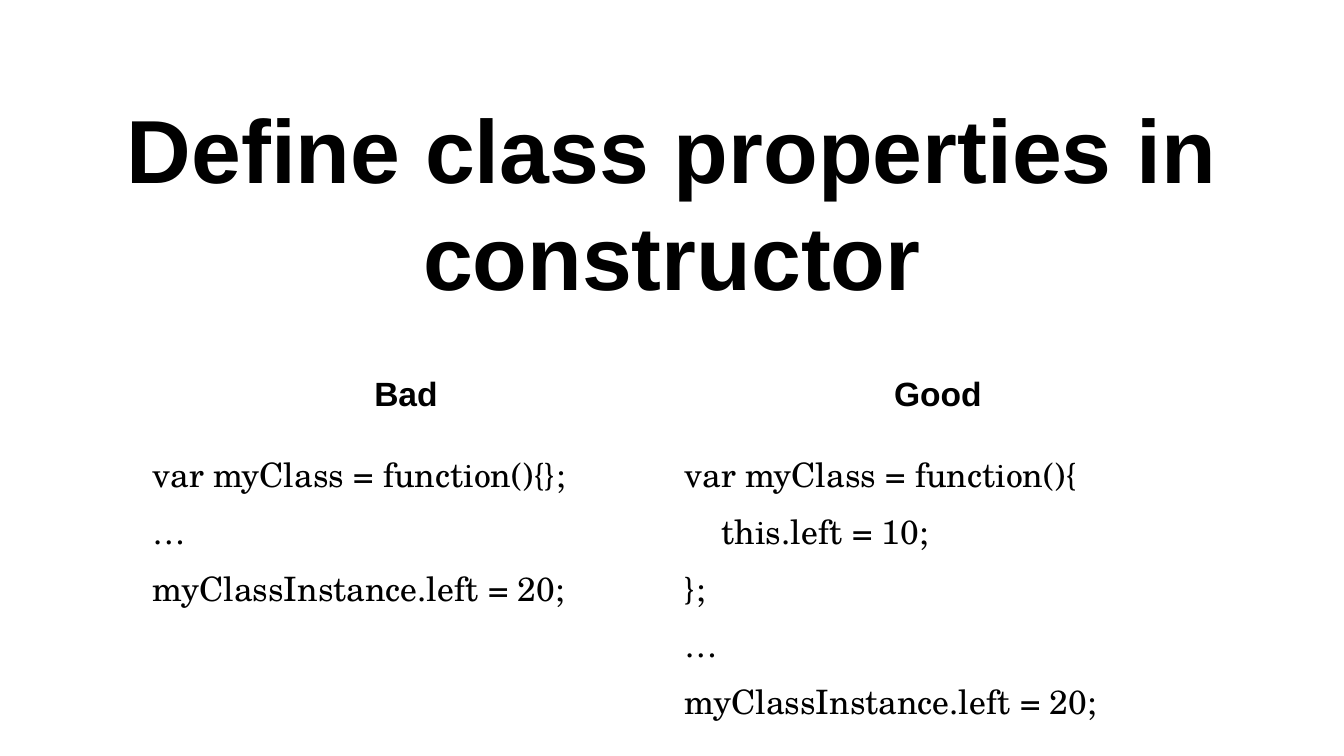
from pptx import Presentation
from pptx.dml.color import RGBColor
from pptx.enum.text import MSO_ANCHOR, PP_ALIGN
from pptx.util import Emu, Pt

COLORS = {"ink": "000000", "paper": "FFFFFF"}
SCALE = 914400 / 134.4
INSET = 13
INDENT = 37


def px(length):
    """Turn picture pixels into EMU."""
    return Emu(round(length * SCALE))


class SlideBuilder:
    """Holds the text style and the current slide."""

    def __init__(self, page, heading_font, code_font):
        self.page = page
        self.heading_font = heading_font
        self.code_font = code_font
        fill = page.background.fill
        fill.solid()
        fill.fore_color.rgb = RGBColor.from_string(COLORS["paper"])

    def style(self, para, name, size, bold):
        """Set the font of one paragraph."""
        font = para.font
        font.name, font.size, font.bold = name, Pt(size), bold
        font.color.rgb = RGBColor.from_string(COLORS["ink"])

    def inset(self, holder):
        """Give a text frame or a cell equal margins."""
        holder.margin_left = holder.margin_right = px(INSET)
        holder.margin_top = holder.margin_bottom = px(INSET)

    def heading(self, para, text, size):
        """Write a bold centred line."""
        para.text = text
        para.alignment = PP_ALIGN.CENTER
        self.style(para, self.heading_font, size, True)

    def title(self, text, left, top, width, height):
        """Add the title, standing on the bottom of its box."""
        box = self.page.shapes.add_textbox(px(left), px(top), px(width), px(height))
        frame = box.text_frame
        frame.word_wrap = True
        frame.vertical_anchor = MSO_ANCHOR.BOTTOM
        self.inset(frame)
        self.heading(frame.paragraphs[0], text, 48)

    def code(self, frame, lines):
        """Write code lines, each a pair of indent level and text."""
        for number, (level, text) in enumerate(lines):
            para = frame.add_paragraph() if number else frame.paragraphs[0]
            para.text = text
            para.alignment = PP_ALIGN.LEFT
            para.line_spacing = 1.15
            self.style(para, self.code_font, 18, False)
            if level:
                para._p.get_or_add_pPr().set("marL", str(px(level * INDENT)))

    def comparison(self, columns, left, top, column_width, row_height, rows):
        """Add a plain table with a heading and code in each column."""
        table = self.page.shapes.add_table(
            rows, len(columns), px(left), px(top),
            px(column_width * len(columns)), px(row_height * rows)).table
        table.first_row = table.horz_banding = False
        for column in table.columns:
            column.width = px(column_width)
        for cell in table.iter_cells():
            cell.fill.background()
            self.inset(cell)
        for index, (name, lines) in enumerate(columns.items()):
            self.heading(table.cell(0, index).text_frame.paragraphs[0], name, 18)
            self.code(table.cell(1, index).text_frame, lines)


deck = Presentation()
deck.slide_width, deck.slide_height = px(1344), px(756)
builder = SlideBuilder(deck.slides.add_slide(deck.slide_layouts[6]),
                       "Arial", "TeX Gyre Schola")
builder.title("Define class properties in constructor", 101, 233, 1142, 89)
usage = [(0, "…"), (0, "myClassInstance.left = 20;")]
builder.comparison({
    "Bad": [(0, "var myClass = function(){};")] + usage,
    "Good": [(0, "var myClass = function(){"), (1, "this.left = 10;"),
             (0, "};")] + usage,
}, 140, 363, 532, 56, 3)
deck.save("out.pptx")
